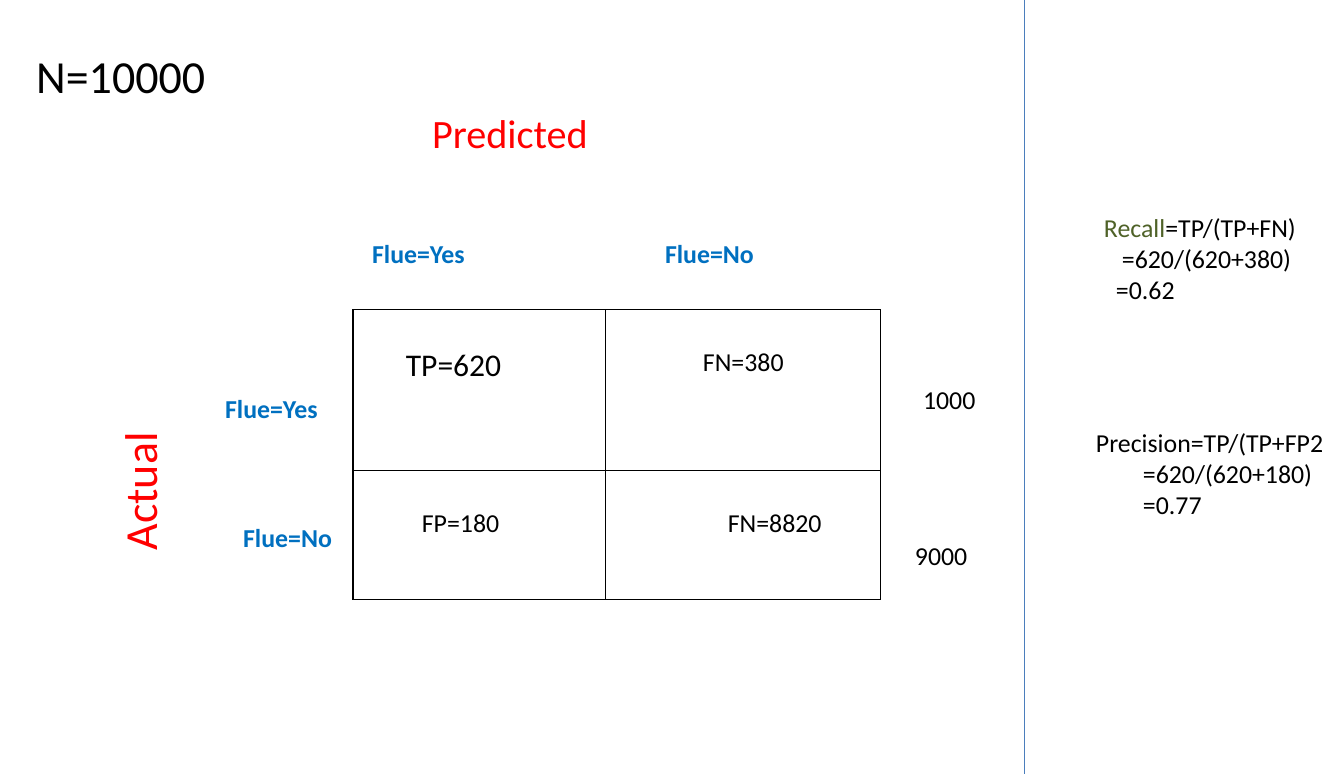
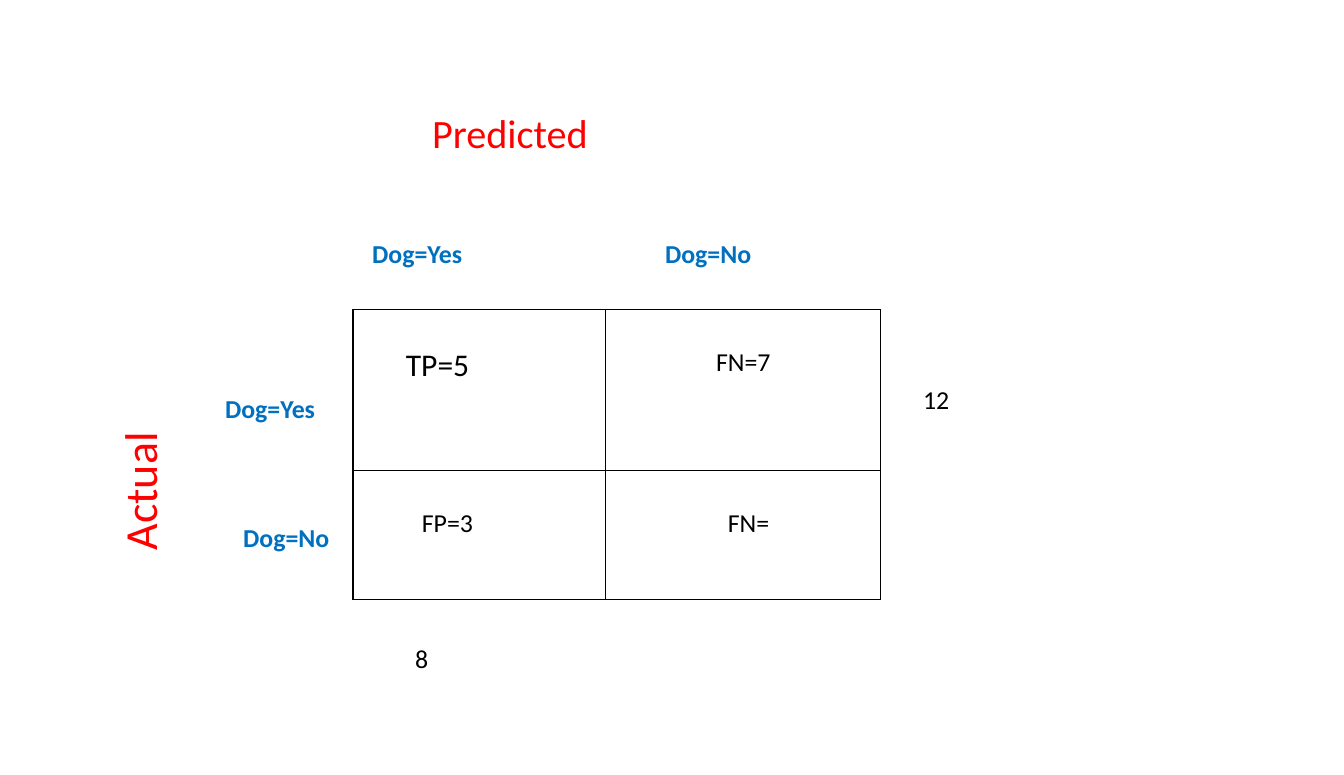
from lxml.etree import SubElement
from pptx import Presentation
from pptx.dml.color import RGBColor
from pptx.enum.shapes import MSO_CONNECTOR
from pptx.enum.text import PP_ALIGN
from pptx.oxml import parse_xml
from pptx.oxml.ns import nsdecls, qn
from pptx.util import Emu, Pt

SCALE = 914400 / 103.4
BLACK = RGBColor(0x00, 0x00, 0x00)
RED = RGBColor(0xFF, 0x00, 0x00)
BLUE = RGBColor(0x00, 0x70, 0xC0)
OLIVE = RGBColor(0x4F, 0x62, 0x28)
STEEL = RGBColor(0x4B, 0x7E, 0xBC)


def px(length):
    return Emu(round(length * SCALE))


class ConfusionDeck:
    """Holds the style and the current slide, and draws each kind of element."""

    font = "Calibri"
    columns = (253, 275)
    rows = (161, 129)

    def __init__(self, width, height):
        self.deck = Presentation()
        self.deck.slide_width, self.deck.slide_height = Emu(width), Emu(height)
        self.page = None

    def new_page(self):
        self.page = self.deck.slides.add_slide(self.deck.slide_layouts[6])

    def span(self, para, text, size=18, color=BLACK, bold=False):
        span = para.add_run()
        span.text = text
        for name, value in {"name": self.font, "size": Pt(size), "bold": bold}.items():
            setattr(span.font, name, value)
        span.font.color.rgb = color

    def box(self, left, top, width, height):
        box = self.page.shapes.add_textbox(px(left), px(top), px(width), px(height))
        box.text_frame.word_wrap = True
        return box.text_frame

    def label(self, text, place, vertical=False, **style):
        frame = self.box(*place)
        if vertical:
            frame._txBody.bodyPr.set("vert", "vert270")
        self.span(frame.paragraphs[0], text, **style)

    def formula(self, place, head, steps):
        frame = self.box(*place)
        for text, color in head:
            self.span(frame.paragraphs[0], text, color=color)
        for text, indent in steps:
            para = frame.add_paragraph()
            para._p.get_or_add_pPr().set("marL", str(px(indent)))
            self.span(para, text)

    def borders(self, cell):
        properties = cell._tc.get_or_add_tcPr()
        for index, side in enumerate(("lnL", "lnR", "lnT", "lnB")):
            properties.insert(index, parse_xml(
                f'<a:{side} {nsdecls("a")} w="12700"><a:solidFill>'
                f'<a:srgbClr val="{BLACK}"/></a:solidFill></a:{side}>'))

    def matrix(self, left, top, cells):
        frame = self.page.shapes.add_table(
            len(self.rows), len(self.columns), px(left), px(top),
            px(sum(self.columns)), px(sum(self.rows)))
        table = frame.table
        for name in ("first_row", "horz_banding"):
            setattr(table, name, False)
        for column, width in zip(table.columns, self.columns):
            column.width = px(width)
        for row, height in zip(table.rows, self.rows):
            row.height = px(height)
        for cell, (text, size, indent) in zip(table.iter_cells(), cells):
            cell.fill.background()
            self.borders(cell)
            cell.margin_top = px(37)
            para = cell.text_frame.paragraphs[0]
            if indent is None:
                para.alignment = PP_ALIGN.CENTER
            else:
                cell.margin_left = px(indent)
            self.span(para, text, size)

    def divider(self, x, height):
        line = self.page.shapes.add_connector(
            MSO_CONNECTOR.STRAIGHT, px(x), 0, px(x), px(height))
        line.line.color.rgb = STEEL
        line.line.width = Pt(0.75)
        SubElement(line._element.spPr, qn("a:effectLst"))

    def confusion(self, subject, counts):
        self.new_page()
        layout = ((22, 53), (18, None), (18, 69), (18, 122))
        self.matrix(353, 310, [(text, *style) for text, style in zip(counts, layout)])
        self.label("Predicted", (422, 103, 267, 59), size=28, color=RED)
        self.label("Actual", (106, 259, 66, 302), vertical=True, size=32, color=RED)
        for answer, place in (("Yes", (362, 233, 207, 41)), ("No", (655, 233, 173, 41)),
                              ("Yes", (215, 388, 121, 41)), ("No", (233, 517, 111, 41))):
            self.label(f"{subject}={answer}", place, color=BLUE, bold=True)


show = ConfusionDeck(11887200, 6858000)

show.confusion("Flue", ("TP=620", "FN=380", "FP=180", "FN=8820"))
show.label("N=10000", (26, 43, 215, 66), size=32)
show.label("9000", (905, 535, 78, 41))
show.label("1000", (913, 379, 112, 43))
show.formula((1094, 207, 233, 104), (("Recall", OLIVE), ("=TP/(TP+FN)", BLACK)),
             (("=620/(620+380)", 18), ("=0.62", 12)))
show.formula((1086, 422, 258, 135), (("Precision=TP/(TP+FP2", BLACK),),
             (("=620/(620+180)", 47), ("=0.77", 47)))
show.divider(1025, 775)

show.confusion("Dog", ("TP=5", "FN=7", "FP=3", "FN="))
show.label("12", (913, 379, 121, 43))
show.label("8", (405, 638, 121, 41))

show.deck.save("out.pptx")
